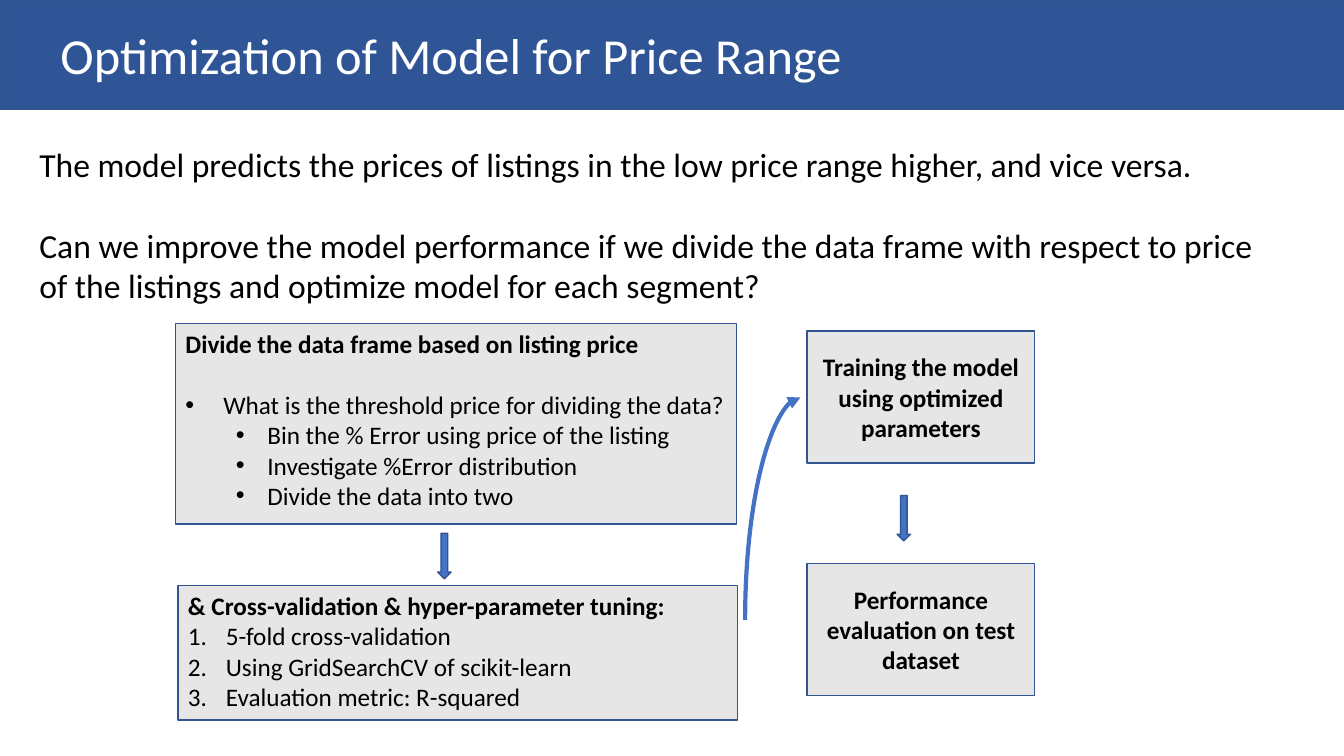
from dataclasses import dataclass

from lxml import etree
from pptx import Presentation
from pptx import util as u
from pptx.dml.color import RGBColor
from pptx.enum import shapes, text
from pptx.oxml.ns import qn

COLUMNS, ROWS = 160, 90
CELL = u.Inches(1 / 12)


@dataclass(frozen=True)
class Theme:
    font: str = "Calibri"
    banner: str = "2F5597"
    outline: str = "325491"
    panel: str = "E7E6E6"
    accent: str = "4472C4"
    dark: str = "000000"
    light: str = "FFFFFF"
    title_size: int = 36
    body_size: int = 24
    box_size: int = 18
    outline_width: int = 1
    curve_width: int = 3


BULLET = ("buChar", "char", "•")
NUMBER = ("buAutoNum", "type", "arabicPeriod")


@dataclass
class Line:
    content: str
    bold: bool = False
    marker: tuple = None
    level: int = 0
    indent: float = 0
    hanging: float = 0
    gap: float = 0


class SlideBuilder:
    def __init__(self, presentation, theme):
        self.theme = theme
        self.slide = presentation.slides.add_slide(presentation.slide_layouts[5])

    def place(self, *cells):
        return [int(cell * CELL) for cell in cells]

    def paint(self, shape, fill):
        shape.fill.solid()
        shape.fill.fore_color.rgb = RGBColor.from_string(fill)
        shape.line.color.rgb = RGBColor.from_string(self.theme.outline)
        shape.line.width = u.Pt(self.theme.outline_width)

    def mark(self, paragraph, line):
        properties = paragraph._p.get_or_add_pPr()
        properties.set("marL", str(int(line.indent * CELL)))
        properties.set("indent", str(int(-line.hanging * CELL)))
        tag, attribute, value = line.marker
        etree.SubElement(properties, qn("a:buFont")).set("typeface", "Arial" if line.marker == BULLET else "+mj-lt")
        etree.SubElement(properties, qn("a:" + tag)).set(attribute, value)

    def fill_text(self, shape, lines, size, color, align=text.PP_ALIGN.LEFT, anchor=text.MSO_ANCHOR.TOP):
        frame = shape.text_frame
        frame.word_wrap = True
        frame.auto_size = text.MSO_AUTO_SIZE.NONE
        frame.vertical_anchor = anchor
        frame.text = "\n".join(line.content for line in lines)
        for paragraph, line in zip(frame.paragraphs, lines):
            paragraph.level = line.level
            paragraph.alignment = align
            if line.marker:
                self.mark(paragraph, line)
            if line.gap:
                paragraph.space_before = u.Pt(line.gap)
            for run in paragraph.runs:
                run.font.name = self.theme.font
                run.font.size = u.Pt(size)
                run.font.bold = line.bold
                run.font.color.rgb = RGBColor.from_string(color)

    def title(self, content, height, margin):
        title = self.slide.shapes.title
        title.left, title.top, title.width, title.height = self.place(0, 0, COLUMNS, height)
        self.paint(title, self.theme.banner)
        self.fill_text(title, [Line(content)], self.theme.title_size, self.theme.light,
                       anchor=text.MSO_ANCHOR.MIDDLE)
        title.text_frame.margin_left = self.place(margin)[0]

    def body(self, cells, lines):
        box = self.slide.shapes.add_textbox(*self.place(*cells))
        self.fill_text(box, lines, self.theme.body_size, self.theme.dark)

    def shape(self, kind, cells, fill):
        shape = self.slide.shapes.add_shape(kind, *self.place(*cells))
        shape.shadow.inherit = False
        self.paint(shape, fill)
        return shape

    def panel(self, cells, lines, **layout):
        panel = self.shape(shapes.MSO_SHAPE.RECTANGLE, cells, self.theme.panel)
        self.fill_text(panel, lines, self.theme.box_size, self.theme.dark, **layout)

    def step(self, cells, content):
        self.panel(cells, [Line(content, bold=True)], align=text.PP_ALIGN.CENTER, anchor=text.MSO_ANCHOR.MIDDLE)

    def down_arrow(self, column, row):
        self.shape(shapes.MSO_SHAPE.DOWN_ARROW, (column, row, 1.6, 5.4), self.theme.accent)

    def curve_up(self, start, end):
        middle_x, middle_y = (start[0] + end[0]) / 2, (start[1] + end[1]) / 2
        half_run, half_rise = (end[0] - start[0]) / 2, (start[1] - end[1]) / 2
        curve = self.slide.shapes.add_connector(
            shapes.MSO_CONNECTOR.CURVE,
            *self.place(middle_x + half_rise, middle_y + half_run, middle_x - half_rise, middle_y - half_run))
        properties = curve._element.spPr
        properties.find(qn("a:xfrm")).set("rot", "5400000")
        properties.find(qn("a:prstGeom")).set("prst", "curvedConnector2")
        curve.line.color.rgb = RGBColor.from_string(self.theme.accent)
        curve.line.width = u.Pt(self.theme.curve_width)
        etree.SubElement(properties.find(qn("a:ln")), qn("a:tailEnd")).set("type", "triangle")
        etree.SubElement(properties, qn("a:effectLst"))


def main():
    presentation = Presentation()
    presentation.slide_width = COLUMNS * CELL
    presentation.slide_height = ROWS * CELL
    builder = SlideBuilder(presentation, Theme())

    builder.title("Optimization of Model for Price Range", 13, 7.2)
    builder.body((3.5, 16.5, 148.7, 20.6), [
        Line("The model predicts the prices of listings in the low price range higher, and vice versa."),
        Line("Can we improve the model performance if we divide the data frame with respect to price "
             "of the listings and optimize model for each segment?", gap=29),
    ])

    tasks = ["Bin the % Error using price of the listing", "Investigate %Error distribution",
             "Divide the data into two"]
    builder.panel((20.9, 38.5, 66.8, 23.9), [
        Line("Divide the data frame based on listing price", bold=True),
        Line("What is the threshold price for dividing the data?", marker=BULLET, indent=4.5, hanging=4.5, gap=22),
        *[Line(task, marker=BULLET, level=1, indent=9.75, hanging=3.75) for task in tasks],
    ])

    tuning = ["5-fold cross-validation", "Using GridSearchCV of scikit-learn", "Evaluation metric: R-squared"]
    builder.panel((21.2, 69.7, 66.6, 16), [
        Line("& Cross-validation & hyper-parameter tuning:", bold=True),
        *[Line(item, marker=NUMBER, indent=4.5, hanging=4.5) for item in tuning],
    ])

    steps = ["Training the model using optimized parameters", "Performance evaluation on test dataset"]
    for index, content in enumerate(steps):
        builder.step((96.1, 39.4 + 27.7 * index, 27.1, 15.7), content)

    builder.down_arrow(52.1, 63.5)
    builder.curve_up((88.7, 73.8), (95.3, 47.3))
    builder.down_arrow(106.8, 59)
    presentation.save("out.pptx")


if __name__ == "__main__":
    main()
